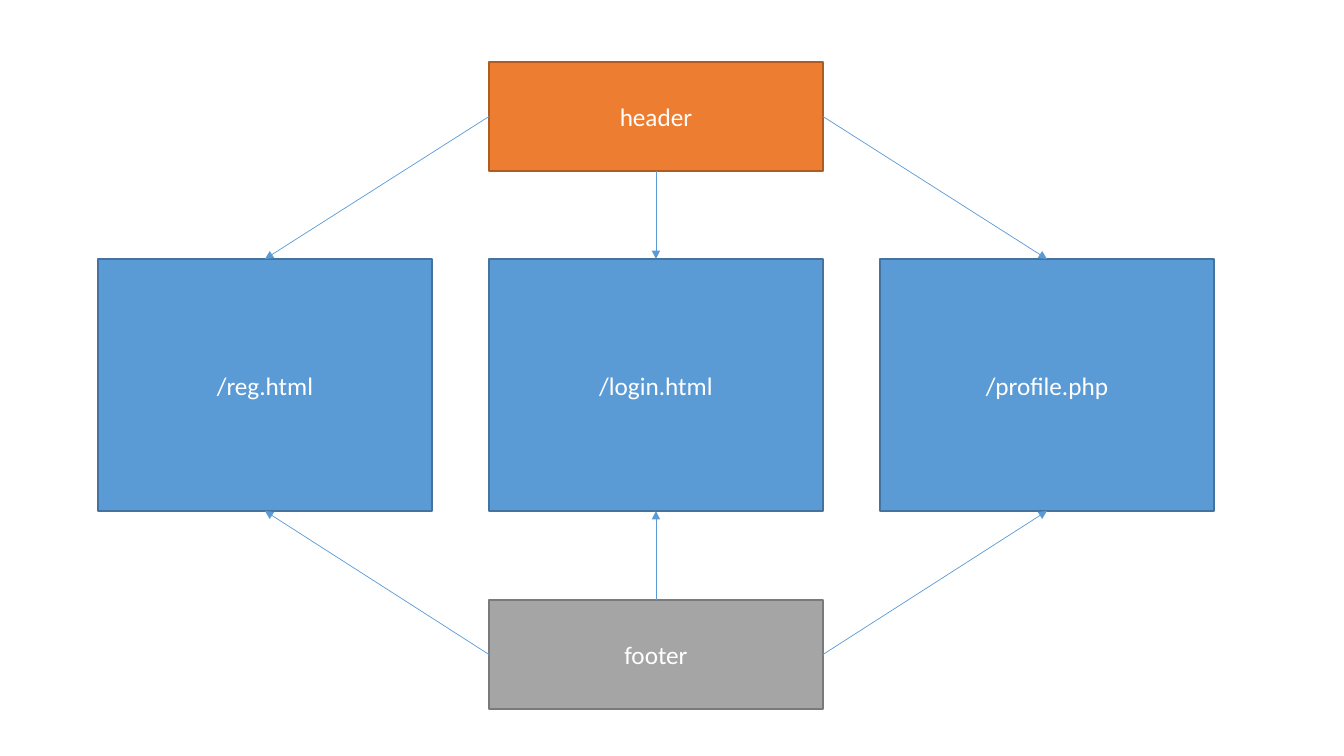
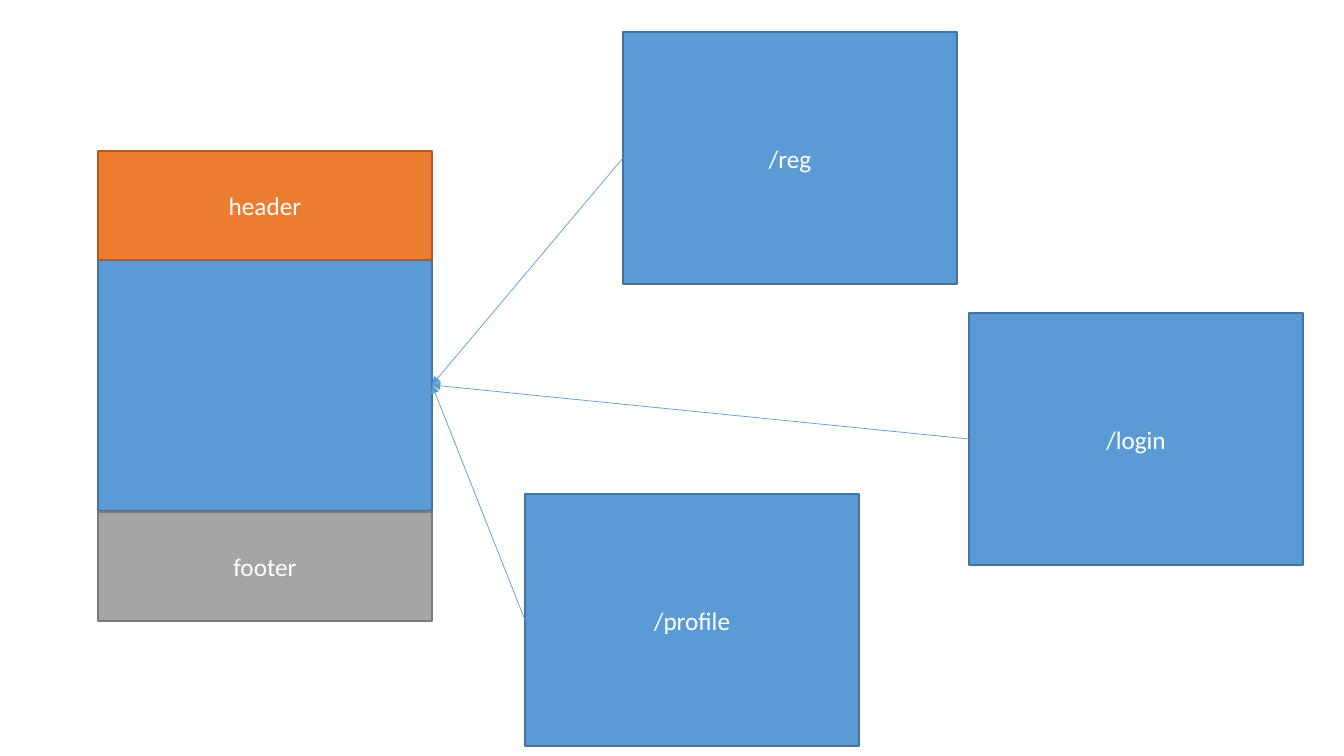
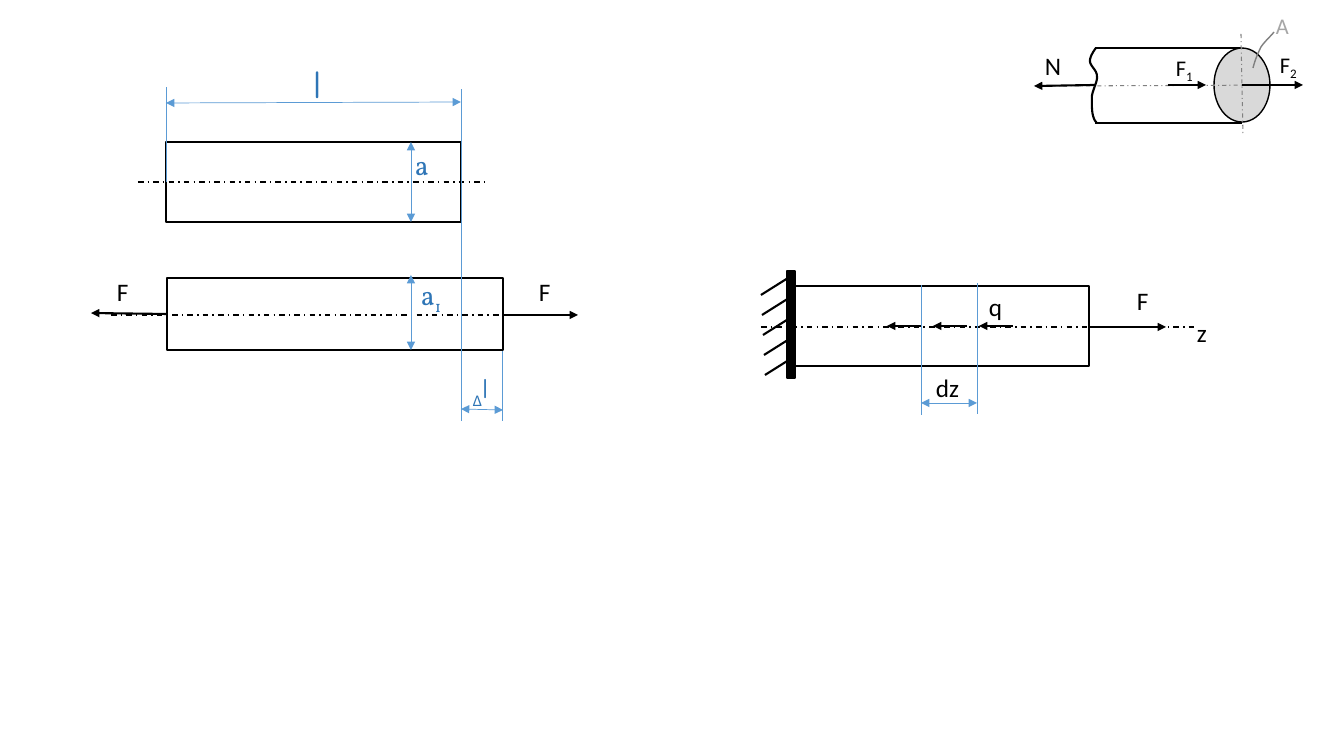
from dataclasses import dataclass

from lxml import etree
from pptx import Presentation
from pptx.dml.color import RGBColor
from pptx.enum.dml import MSO_LINE
from pptx.enum.shapes import MSO_CONNECTOR, MSO_SHAPE
from pptx.enum.text import MSO_ANCHOR, MSO_AUTO_SIZE, PP_ALIGN
from pptx.oxml.ns import qn
from pptx.presentation import Presentation as Deck
from pptx.shapes.autoshape import Shape
from pptx.shapes.connector import Connector
from pptx.slide import Slide
from pptx.util import Emu, Pt

EMU_PER_PIXEL = 914400 / 100.8
RECTANGLE, ELLIPSE = MSO_SHAPE.RECTANGLE, MSO_SHAPE.OVAL
STRAIGHT = MSO_CONNECTOR.STRAIGHT
DASH_DOT = MSO_LINE.DASH_DOT
CENTER, MIDDLE = PP_ALIGN.CENTER, MSO_ANCHOR.MIDDLE
FIT_SHAPE = MSO_AUTO_SIZE.SHAPE_TO_FIT_TEXT
TOP, LEFT, BOTTOM, RIGHT = range(4)
BLANK_LAYOUT = 6
CURVE_STEPS = 12

Point = tuple[int, int]


@dataclass(frozen=True)
class Theme:
    """Colours, fonts and type sizes of the presentation."""

    white: str = "FFFFFF"
    black: str = "000000"
    blue: str = "5B9BD5"
    blue_edge: str = "43739E"
    blue_text: str = "2E75B6"
    orange: str = "ED7D31"
    orange_edge: str = "AF5C24"
    gray: str = "A5A5A5"
    gray_edge: str = "7A7A7A"
    section: str = "D9D9D9"
    thin_gray: str = "808080"
    gray_text: str = "A6A6A6"
    font: str = "Calibri"
    length_font: str = "Comic Neue"
    width_font: str = "Vollkorn"
    small: int = 16
    body: int = 18
    dimension: int = 20
    large: int = 28


THEME = Theme()


@dataclass(frozen=True)
class Stroke:
    """Colour, width in points and dash of a line."""

    color: str
    width: float
    dashed: bool = False


FLOW = Stroke(THEME.blue, 0.5)
OUTLINE = Stroke(THEME.black, 1)
FORCE = Stroke(THEME.black, 1.5)
AXIS = Stroke(THEME.black, 1, dashed=True)
THIN_AXIS = Stroke(THEME.thin_gray, 0.75, dashed=True)
LEADER = Stroke(THEME.thin_gray, 1)


@dataclass(frozen=True)
class BoxStyle:
    """Fill and outline of a box."""

    fill: str
    outline: Stroke


PAGE = BoxStyle(THEME.blue, Stroke(THEME.blue_edge, 1))
HEADER = BoxStyle(THEME.orange, Stroke(THEME.orange_edge, 1))
FOOTER = BoxStyle(THEME.gray, Stroke(THEME.gray_edge, 1))
BAR = BoxStyle(THEME.white, OUTLINE)
SECTION = BoxStyle(THEME.section, OUTLINE)
WALL = BoxStyle(THEME.black, OUTLINE)


@dataclass(frozen=True)
class Box:
    """A filled preset shape with optional centred text."""

    left: int
    top: int
    width: int
    height: int
    style: BoxStyle
    text: str = ""
    preset: MSO_SHAPE = RECTANGLE


@dataclass(frozen=True)
class Line:
    """A straight line with optional arrowheads."""

    start: Point
    end: Point
    stroke: Stroke
    head: bool = False
    tail: bool = False


@dataclass(frozen=True)
class Curve:
    """A chain of cubic curves, three points after the start for each."""

    points: tuple[Point, ...]
    stroke: Stroke


@dataclass(frozen=True)
class Piece:
    """A piece of a label, lowered when it is a subscript."""

    text: str
    lowered: bool = False
    font: str | None = None


@dataclass(frozen=True)
class Label:
    """A text box made of one paragraph."""

    left: int
    top: int
    width: int
    height: int
    pieces: tuple[Piece, ...]
    size: int = THEME.body
    color: str = THEME.black
    font: str = THEME.font
    wrap: bool = False


Element = Box | Line | Curve | Label


def px(length: float) -> Emu:
    """Turn pixels into EMU."""
    return Emu(round(length * EMU_PER_PIXEL))


def rgb(color: str) -> RGBColor:
    """Turn a hexadecimal string into a colour."""
    return RGBColor.from_string(color)


def apply_stroke(shape: Shape | Connector, stroke: Stroke) -> None:
    """Set colour, width and dash of a line."""
    shape.line.color.rgb = rgb(stroke.color)
    shape.line.width = Pt(stroke.width)
    if stroke.dashed:
        shape.line.dash_style = DASH_DOT


def draw_box(slide: Slide, box: Box) -> Shape:
    """Draw a box and its text."""
    shape = slide.shapes.add_shape(
        box.preset, px(box.left), px(box.top), px(box.width), px(box.height)
    )
    shape.shadow.inherit = False
    shape.fill.solid()
    shape.fill.fore_color.rgb = rgb(box.style.fill)
    apply_stroke(shape, box.style.outline)
    if box.text:
        shape.text_frame.text = box.text
        shape.text_frame.vertical_anchor = MIDDLE
        paragraph = shape.text_frame.paragraphs[0]
        paragraph.alignment = CENTER
        paragraph.font.name = THEME.font
        paragraph.font.size = Pt(THEME.body)
        paragraph.font.color.rgb = rgb(THEME.white)
    return shape


def draw_line(slide: Slide, line: Line) -> Connector:
    """Draw a straight connector without a shadow."""
    connector = slide.shapes.add_connector(
        STRAIGHT, *(px(value) for value in line.start + line.end)
    )
    apply_stroke(connector, line.stroke)
    properties = connector.element.find(qn("p:spPr"))
    outline = properties.find(qn("a:ln"))
    for tag, shown in (("a:headEnd", line.head), ("a:tailEnd", line.tail)):
        if shown:
            etree.SubElement(outline, qn(tag), type="triangle")
    etree.SubElement(properties, qn("a:effectLst"))
    return connector


def connect(slide: Slide, source: Shape, source_side: int, target: Shape, target_side: int) -> None:
    """Join two boxes with an arrow glued to their sides."""
    connector = draw_line(slide, Line((0, 0), (0, 0), FLOW, tail=True))
    connector.begin_connect(source, source_side)
    connector.end_connect(target, target_side)


def cubic(points: tuple[Point, ...], t: float) -> tuple[Emu, Emu]:
    """Give the place at t on a cubic curve with four control points."""
    weights = ((1 - t) ** 3, 3 * t * (1 - t) ** 2, 3 * t**2 * (1 - t), t**3)
    x, y = (
        sum(weight * point[axis] for weight, point in zip(weights, points))
        for axis in (0, 1)
    )
    return px(x), px(y)


def draw_curve(slide: Slide, curve: Curve) -> None:
    """Draw an open outline that follows the curve."""
    start_x, start_y = curve.points[0]
    builder = slide.shapes.build_freeform(px(start_x), px(start_y))
    vertices = [
        cubic(curve.points[first : first + 4], step / CURVE_STEPS)
        for first in range(0, len(curve.points) - 1, 3)
        for step in range(1, CURVE_STEPS + 1)
    ]
    builder.add_line_segments(vertices, close=False)
    shape = builder.convert_to_shape()
    shape.shadow.inherit = False
    shape.fill.background()
    apply_stroke(shape, curve.stroke)


def draw_label(slide: Slide, label: Label) -> None:
    """Draw a text box with its subscripts."""
    text_box = slide.shapes.add_textbox(
        px(label.left), px(label.top), px(label.width), px(label.height)
    )
    frame = text_box.text_frame
    frame.word_wrap = label.wrap
    frame.auto_size = FIT_SHAPE
    paragraph = frame.paragraphs[0]
    paragraph.font.name = label.font
    paragraph.font.size = Pt(label.size)
    paragraph.font.color.rgb = rgb(label.color)
    for piece in label.pieces:
        run = paragraph.add_run()
        run.text = piece.text
        if piece.font:
            run.font.name = piece.font
        if piece.lowered:
            run._r.get_or_add_rPr().set("baseline", "-25000")


DRAWERS = {Box: draw_box, Line: draw_line, Curve: draw_curve, Label: draw_label}


def draw_all(slide: Slide, elements: list[Element]) -> None:
    """Draw elements from back to front."""
    for element in elements:
        DRAWERS[type(element)](slide, element)


def page_box(left: int, top: int, text: str = "") -> Box:
    """Describe a page body."""
    return Box(left, top, 334, 252, PAGE, text)


def band_box(left: int, top: int, style: BoxStyle, text: str) -> Box:
    """Describe a header or footer band."""
    return Box(left, top, 334, 109, style, text)


def force(start: Point, end: Point) -> Line:
    """Describe a force arrow."""
    return Line(start, end, FORCE, tail=True)


def dimension(start: Point, end: Point) -> Line:
    """Describe a dimension line with two arrowheads."""
    return Line(start, end, FLOW, head=True, tail=True)


def symbol(left: int, top: int, width: int, text: str) -> Label:
    """Describe a black one-line symbol."""
    return Label(left, top, width, 40, (Piece(text),))


def indexed_force(left: int, top: int, index: str) -> Label:
    """Describe a force symbol with an index."""
    return Label(left, top, 38, 37, (Piece("F"), Piece(index, lowered=True)), THEME.small)


def measure(left: int, top: int, width: int, height: int, font: str, size: int, *pieces: Piece) -> Label:
    """Describe the blue symbol of a dimension."""
    return Label(left, top, width, height, pieces, size, THEME.blue_text, font, wrap=True)


def build_separate_pages(slide: Slide) -> None:
    """Show three pages sharing a header and a footer."""
    names = ("/reg.html", "/login.html", "/profile.php")
    pages = [
        draw_box(slide, page_box(98 + 391 * column, 259, name))
        for column, name in enumerate(names)
    ]
    header = draw_box(slide, band_box(489, 62, HEADER, "header"))
    footer = draw_box(slide, band_box(489, 600, FOOTER, "footer"))
    for band, inner_side, page_side in ((header, BOTTOM, TOP), (footer, TOP, BOTTOM)):
        for page, band_side in zip(pages, (LEFT, inner_side, RIGHT)):
            connect(slide, band, band_side, page, page_side)


def build_single_page(slide: Slide) -> None:
    """Show one frame filled by three routes."""
    content = draw_box(slide, page_box(98, 259))
    draw_box(slide, band_box(98, 151, HEADER, "header"))
    draw_box(slide, band_box(98, 512, FOOTER, "footer"))
    routes = [
        draw_box(slide, page_box(left, top, name))
        for left, top, name in ((525, 494, "/profile"), (969, 313, "/login"), (623, 32, "/reg"))
    ]
    for route in reversed(routes):
        connect(slide, route, LEFT, content, RIGHT)


def stretched_bar() -> list[Element]:
    """Describe the bar before and after stretching."""
    return [
        Line((502, 278), (502, 421), FLOW),
        Box(166, 142, 295, 80, BAR),
        Line((138, 182), (484, 182), AXIS),
        force((500, 315), (578, 315)),
        force((167, 314), (91, 313)),
        symbol(107, 271, 32, "F"),
        symbol(529, 271, 32, "F"),
        Box(167, 278, 336, 72, BAR),
        Line((111, 315), (573, 315), AXIS),
    ]


def cut_rod() -> list[Element]:
    """Describe the cut rod with its section and forces."""
    break_points = (
        (1096, 48), (1093, 52), (1090, 57), (1090, 61), (1090, 66), (1097, 70), (1097, 76),
        (1098, 81), (1093, 89), (1092, 96), (1092, 104), (1091, 118), (1097, 123),
    )
    leader_points = (
        (1253, 68), (1255, 60), (1258, 53), (1261, 47), (1265, 41), (1272, 35), (1274, 32),
    )
    return [
        *(Line((1242, y), (1095, y), FORCE) for y in (48, 123)),
        Box(1214, 48, 56, 74, SECTION, preset=ELLIPSE),
        Curve(break_points, FORCE),
        Line((1052, 86), (1297, 85), THIN_AXIS),
        force((1242, 85), (1303, 85)),
        Line((1241, 34), (1243, 136), THIN_AXIS),
        force((1168, 85), (1206, 85)),
        indexed_force(1166, 49, "1"),
        indexed_force(1270, 46, "2"),
        force((1095, 85), (1034, 86)),
        symbol(1035, 45, 36, "N"),
        Curve(leader_points, LEADER),
        Label(1266, 7, 33, 37, (Piece("A"),), THEME.small, THEME.gray_text),
    ]


def bar_dimensions() -> list[Element]:
    """Describe the dimensions of the stretched bar."""
    elongation = (Piece("Δ", lowered=True), Piece("l", font=THEME.length_font))
    return [
        Line((166, 182), (166, 87), FLOW),
        Line((461, 421), (461, 89), FLOW),
        dimension((166, 103), (461, 102)),
        measure(303, 54, 25, 57, THEME.length_font, THEME.large, Piece("l")),
        dimension((411, 142), (411, 222)),
        measure(405, 143, 25, 44, THEME.width_font, THEME.dimension, Piece("a")),
        dimension((411, 275), (411, 350)),
        measure(411, 273, 49, 44, THEME.width_font, THEME.dimension, Piece("a"), Piece("1", lowered=True)),
        dimension((461, 409), (503, 410)),
        measure(463, 366, 48, 44, THEME.font, THEME.dimension, *elongation),
    ]


def clamped_beam() -> list[Element]:
    """Describe the clamped beam under a distributed load."""
    return [
        Box(794, 286, 295, 80, BAR),
        Line((761, 327), (1198, 327), AXIS),
        Box(787, 271, 8, 107, WALL),
        *(
            Line((761 + row, 295 + 20 * row), (788 + row, 278 + 20 * row), FORCE)
            for row in range(5)
        ),
        force((1089, 327), (1166, 327)),
        symbol(1127, 280, 32, "F"),
        symbol(1187, 312, 30, "z"),
        Line((921, 415), (921, 285), FLOW),
        Line((977, 414), (977, 283), FLOW),
        dimension((921, 403), (977, 403)),
        symbol(926, 367, 44, "dz"),
        *(force((921 + 46 * column, 326), (887 + 46 * column, 326)) for column in range(3)),
        symbol(979, 286, 34, "q"),
    ]


def build_mechanics(slide: Slide) -> None:
    """Show the bar, the rod and the beam."""
    draw_all(slide, stretched_bar() + cut_rod() + bar_dimensions() + clamped_beam())


def build_presentation() -> Deck:
    """Build all slides."""
    presentation = Presentation()
    presentation.slide_width, presentation.slide_height = px(1344), px(756)
    layout = presentation.slide_layouts[BLANK_LAYOUT]
    for build in (build_separate_pages, build_single_page, build_mechanics):
        build(presentation.slides.add_slide(layout))
    return presentation


build_presentation().save("out.pptx")
